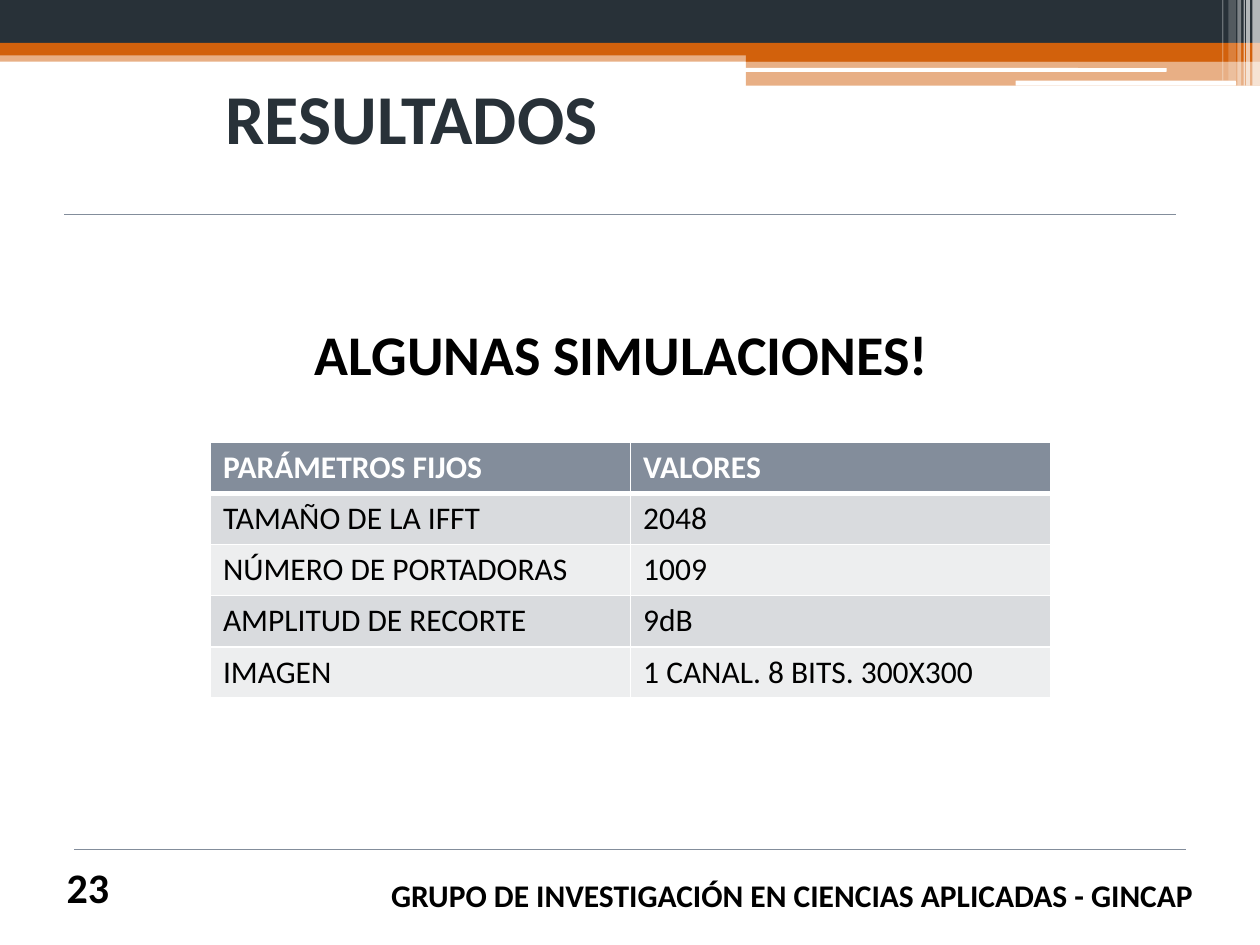
import pptx
import pptx.util
import pptx.dml.color
import pptx.enum.shapes
import pptx.enum.text
import pptx.oxml
import pptx.oxml.ns
import lxml.etree

Inches = pptx.util.Inches
Pt = pptx.util.Pt
RGBColor = pptx.dml.color.RGBColor
MSO_SHAPE = pptx.enum.shapes.MSO_SHAPE
PP_ALIGN = pptx.enum.text.PP_ALIGN
MSO_ANCHOR = pptx.enum.text.MSO_ANCHOR
qn = pptx.oxml.ns.qn

FONT = "Calibri"
DARK = RGBColor(0x28, 0x31, 0x38)
ORANGE = RGBColor(0xD2, 0x61, 0x0C)
SLATE = RGBColor(0x83, 0x8D, 0x9B)
BAND_DARK = RGBColor(0xD9, 0xDB, 0xDE)
BAND_LIGHT = RGBColor(0xED, 0xEE, 0xEF)
WHITE = RGBColor(0xFF, 0xFF, 0xFF)
BLACK = RGBColor(0, 0, 0)

# left, top, width, height, colour, opacity in percent
HEADER_BARS = [
    (0, 0.4, 10, 0.09, ORANGE, 50),
    (0, 0, 10, 0.34, DARK, 100),
    (0, 0.34, 10, 0.1, ORANGE, 100),
    (5.92, 0.39, 4.08, 0.1, ORANGE, 100),
    (5.92, 0.48, 4.08, 0.2, ORANGE, 50),
]
ROUNDED_BARS = [(5.91, 0.54, 3.35, 0.03), (8.06, 0.64, 1.75, 0.04)]
# left, width, height, opacity in percent
CORNER_STRIPES = [
    (9.94, 0.06, 0.68, 65),
    (9.89, 0.03, 0.68, 65),
    (9.87, 0.01, 0.68, 60),
    (9.82, 0.03, 0.68, 40),
    (9.75, 0.06, 0.64, 20),
    (9.7, 0.01, 0.64, 30),
]
PARAMETERS = [
    ("PARÁMETROS FIJOS", "VALORES"),
    ("TAMAÑO DE LA IFFT", "2048"),
    ("NÚMERO DE PORTADORAS", "1009"),
    ("AMPLITUD DE RECORTE", "9dB"),
    ("IMAGEN", "1 CANAL. 8 BITS. 300X300"),
]


def set_text(tf, text, size, color, bold=True, align=PP_ALIGN.LEFT):
    tf.text = text
    p = tf.paragraphs[0]
    p.alignment = align
    font = p.runs[0].font
    font.name, font.size, font.bold = FONT, Pt(size), bold
    font.color.rgb = color


def add_bar(s, left, top, width, height, color, opacity=100,
            kind=MSO_SHAPE.RECTANGLE):
    sp = s.shapes.add_shape(kind, Inches(left), Inches(top),
                            Inches(width), Inches(height))
    sp.shadow.inherit = False
    sp.line.fill.background()
    sp.fill.solid()
    sp.fill.fore_color.rgb = color
    if opacity < 100:
        clr = sp.fill._xPr.find(".//" + qn("a:srgbClr"))
        lxml.etree.SubElement(clr, qn("a:alpha"), val=str(opacity * 1000))


def add_header(s):
    for bar in HEADER_BARS:
        add_bar(s, *bar)
    for bar in ROUNDED_BARS:
        add_bar(s, *bar, WHITE, kind=MSO_SHAPE.ROUNDED_RECTANGLE)
    for left, width, height, opacity in CORNER_STRIPES:
        add_bar(s, left, 0, width, height, WHITE, opacity)


def add_rule(s, left, top, width):
    line = s.shapes.add_connector(
        pptx.enum.shapes.MSO_CONNECTOR.STRAIGHT,
        Inches(left), Inches(top), Inches(left + width), Inches(top))
    line.line.color.rgb = SLATE
    line.line.width = Pt(0.75)
    lxml.etree.SubElement(line._element.spPr, qn("a:effectLst"))


def add_text(s, left, top, width, height, text, size, align=PP_ALIGN.LEFT):
    tf = s.shapes.add_textbox(Inches(left), Inches(top),
                              Inches(width), Inches(height)).text_frame
    tf.word_wrap = True
    set_text(tf, text, size, BLACK, align=align)


def set_borders(cell, bottom):
    """Draw white cell borders, with the bottom one of the given points."""
    tcPr = cell._tc.get_or_add_tcPr()
    widths = {"a:lnL": 1, "a:lnR": 1, "a:lnT": 1, "a:lnB": bottom}
    for i, (tag, width) in enumerate(widths.items()):
        ln = lxml.etree.Element(qn(tag), w=str(Pt(width)))
        fill = lxml.etree.SubElement(ln, qn("a:solidFill"))
        lxml.etree.SubElement(fill, qn("a:srgbClr"), val=str(WHITE))
        tcPr.insert(i, ln)


def add_parameter_table(s):
    table = s.shapes.add_table(
        len(PARAMETERS), 2, Inches(1.67), Inches(3.51),
        Inches(6.67), Inches(2.03)).table
    for i, row in enumerate(PARAMETERS):
        header = i == 0
        band = BAND_DARK if i % 2 else BAND_LIGHT
        for j, text in enumerate(row):
            cell = table.cell(i, j)
            cell.fill.solid()
            cell.fill.fore_color.rgb = SLATE if header else band
            set_borders(cell, bottom=3 if header else 1)
            set_text(cell.text_frame, text, 18,
                     WHITE if header else BLACK, bold=header)


def set_title(s, text):
    title = s.shapes.title
    title.left, title.top = Inches(1.69), Inches(0.3)
    title.width, title.height = Inches(7.64), Inches(1.25)
    title.text_frame.vertical_anchor = MSO_ANCHOR.MIDDLE
    set_text(title.text_frame, text, 40, DARK)


def main():
    prs = pptx.Presentation()
    prs.slide_width, prs.slide_height = Inches(10), Inches(7.5)
    s = prs.slides.add_slide(prs.slide_layouts[5])
    add_header(s)
    set_title(s, "RESULTADOS")
    add_rule(s, 0.51, 1.7, 8.82)
    add_rule(s, 0.59, 6.74, 8.82)
    add_text(s, 0.43, 6.79, 0.63, 0.5, "23", 24)
    add_text(s, 2.4, 2.49, 5.59, 0.64, "ALGUNAS SIMULACIONES!", 32)
    add_parameter_table(s)
    add_text(s, 2.56, 6.9, 7.01, 0.4,
             "GRUPO DE INVESTIGACIÓN EN CIENCIAS APLICADAS - GINCAP", 18,
             PP_ALIGN.RIGHT)
    prs.save("out.pptx")


if __name__ == "__main__":
    main()
